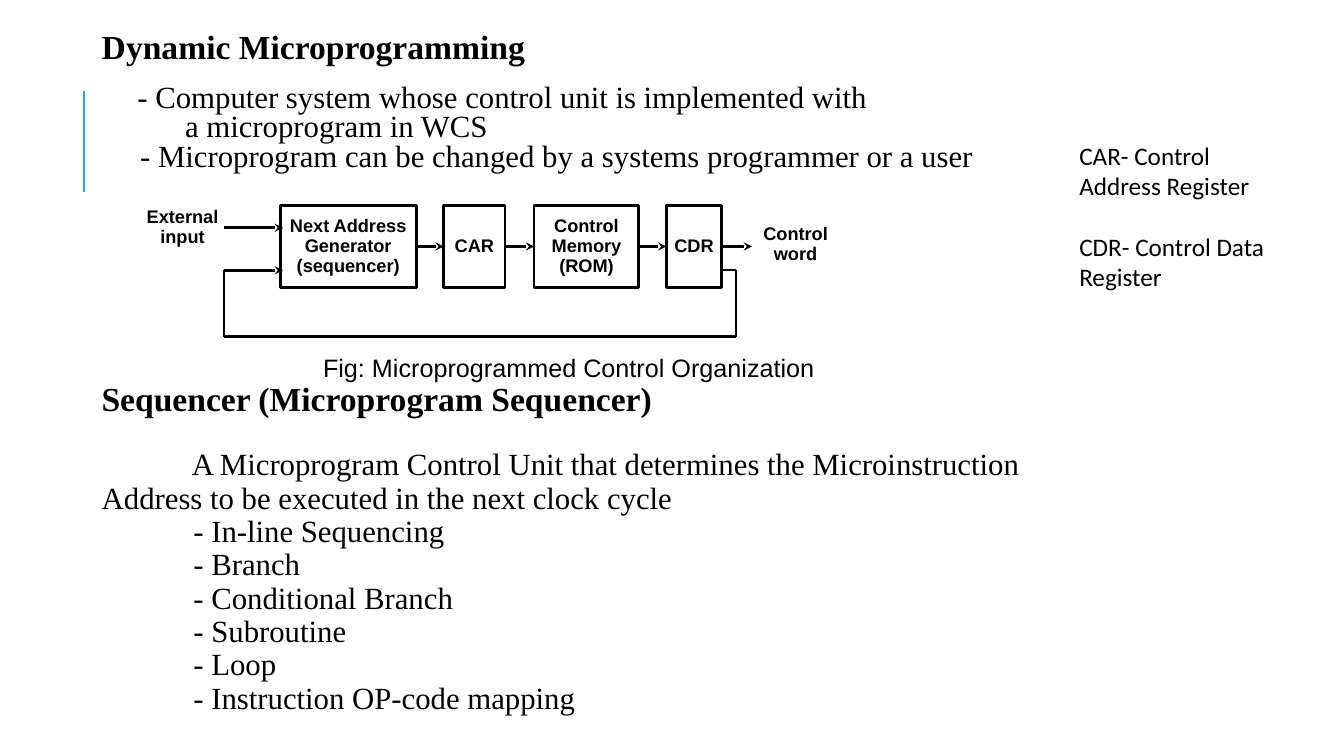
import itertools

import pptx
import pptx.dml.color
import pptx.enum.shapes
import pptx.enum.text
import pptx.oxml.ns
import pptx.util
from lxml import etree
from pptx.util import Cm, Pt

ALIGN = pptx.enum.text.PP_ALIGN
ANCHOR = pptx.enum.text.MSO_ANCHOR
BLACK, WHITE, ACCENT = "000000", "FFFFFF", "1CADE4"
SERIF, SANS = "Times New Roman", "Arial"
COLUMN_LEFT, COLUMN_WIDTH = 2.31, 24.05
BOX_TOP, BOX_HEIGHT = 5.18, 2.06


def color(hex_code):
    return pptx.dml.color.RGBColor.from_string(hex_code)


def add_element(parent, tag, **attributes):
    return etree.SubElement(parent, pptx.oxml.ns.qn(tag), attributes)


def place(shape, left, top, width, height):
    shape.left, shape.top = Cm(left), Cm(top)
    shape.width, shape.height = Cm(width), Cm(height)


def write(shape, text, font, size, bold=False, align=ALIGN.LEFT,
          anchor=ANCHOR.MIDDLE, wrap=True, spacing=1.0, gap=0):
    """Fill a shape with text, one paragraph a line, in one format."""
    frame = shape.text_frame
    frame.text = text
    frame.auto_size = pptx.enum.text.MSO_AUTO_SIZE.NONE
    frame.word_wrap = wrap
    frame.vertical_anchor = anchor
    for index, paragraph in enumerate(frame.paragraphs):
        paragraph.alignment = align
        paragraph.line_spacing = spacing
        paragraph.space_before = Pt(gap if index else 0)
        for run in paragraph.runs:
            run.font.name, run.font.size, run.font.bold = font, Pt(size), bold
            run.font.color.rgb = color(BLACK)


def add_text(slide, area, text, font, size, **options):
    shape = slide.shapes.add_textbox(0, 0, 0, 0)
    place(shape, *area)
    write(shape, text, font, size, **options)


def fill_list(shape, area, lines, pitch):
    """Fill a body placeholder; lines are (text, left margin, first-line indent)."""
    place(shape, *area)
    write(shape, "\n".join(text for text, _, _ in lines), SERIF, 22,
          anchor=ANCHOR.TOP, spacing=Pt(pitch))
    for paragraph, (_, margin, indent) in zip(shape.text_frame.paragraphs, lines):
        properties = paragraph._p.get_or_add_pPr()
        properties.set("marL", str(Cm(margin)))
        properties.set("indent", str(Cm(indent)))
        add_element(properties, "a:buNone")


def add_block(slide, left, width, label):
    block = slide.shapes.add_shape(pptx.enum.shapes.MSO_SHAPE.RECTANGLE, Cm(left),
                                   Cm(BOX_TOP), Cm(width), Cm(BOX_HEIGHT))
    block.shadow.inherit = False
    block.fill.solid()
    block.fill.fore_color.rgb = color(WHITE)
    block.line.color.rgb = color(BLACK)
    block.line.width = Pt(2)
    write(block, label, SANS, 13, bold=True, align=ALIGN.CENTER,
          wrap=False, spacing=0.9)
    return block


def add_line(slide, start, end, width=2, arrow=False, line_color=BLACK):
    line = slide.shapes.add_connector(
        pptx.enum.shapes.MSO_CONNECTOR.STRAIGHT,
        Cm(start[0]), Cm(start[1]), Cm(end[0]), Cm(end[1]))
    line.line.color.rgb = color(line_color)
    line.line.width = Pt(width)
    if arrow:
        add_element(line.line._get_or_add_ln(), "a:tailEnd", type="stealth")
    add_element(line._element.spPr, "a:effectLst")
    return line


def add_diagram(slide):
    # Blocks joined from left to right
    blocks = [add_block(slide, *block) for block in (
        (7.06, 3.43, "Next Address\nGenerator\n(sequencer)"),
        (11.18, 1.55, "CAR"),
        (13.46, 2.64, "Control\nMemory\n(ROM)"),
        (16.79, 1.4, "CDR"))]
    middle = BOX_TOP + BOX_HEIGHT / 2
    for source, target in itertools.pairwise(blocks):
        arrow = add_line(slide, (0, middle), (1, middle), arrow=True)
        arrow.begin_connect(source, 3)
        arrow.end_connect(target, 1)

    # Input and output
    add_line(slide, (5.64, 5.74), (7.13, 5.74), arrow=True)
    output = add_line(slide, (18.19, middle), (18.95, middle), arrow=True)
    output.begin_connect(blocks[-1], 3)
    for area, label in (((3.43, 5.11, 2.34, 1.24), "External\ninput"),
                        ((18.97, 5.54, 2.16, 1.24), "Control\nword")):
        add_text(slide, area, label, SANS, 13, bold=True, align=ALIGN.CENTER,
                 wrap=False, spacing=0.9)

    # Feedback from the data register to the sequencer
    corners = [(18.19, 6.81), (18.54, 6.81), (18.54, 8.48),
               (5.64, 8.48), (5.64, 6.81), (7.13, 6.81)]
    widths = (1.5, 1.5, 2, 1.5, 2)
    for (start, end), width in zip(itertools.pairwise(corners), widths):
        add_line(slide, start, end, width, arrow=end == corners[-1])


def main():
    presentation = pptx.Presentation()
    presentation.slide_width, presentation.slide_height = Cm(33.87), Cm(19.05)
    slide = presentation.slides.add_slide(presentation.slide_layouts[3])
    title, dynamic_list, sequencer_list = slide.placeholders

    # Dynamic microprogramming
    add_line(slide, (2.11, 4.83), (2.11, 2.29), 1.5, line_color=ACCENT)
    place(title, COLUMN_LEFT, 0.6, COLUMN_WIDTH, 1.1)
    write(title, "Dynamic Microprogramming", SERIF, 24, bold=True)
    fill_list(dynamic_list, (COLUMN_LEFT, 2.02, COLUMN_WIDTH, 2.6), [
        ("- Computer system whose control unit is implemented with"
         "\va microprogram in WCS", 2.1, -1.2),
        ("- Microprogram can be changed by a systems programmer or a user",
         2.1, -1.13)], 21)

    # Control organization
    add_diagram(slide)
    add_text(slide, (COLUMN_LEFT, 8.8, COLUMN_WIDTH, 0.9),
             "Fig: Microprogrammed Control Organization", SANS, 18,
             align=ALIGN.CENTER)
    add_text(slide, (26.95, 3.4, 5.28, 4.11),
             "CAR- Control Address Register\nCDR- Control Data Register",
             "Calibri", 18, anchor=ANCHOR.TOP, gap=22)

    # Sequencer
    add_text(slide, (COLUMN_LEFT, 9.53, COLUMN_WIDTH, 1),
             "Sequencer (Microprogram Sequencer)", SERIF, 24, bold=True)
    techniques = ("In-line Sequencing", "Branch", "Conditional Branch",
                  "Subroutine", "Loop", "Instruction OP-code mapping")
    fill_list(sequencer_list, (COLUMN_LEFT, 11.18, COLUMN_WIDTH, 7), [
        ("A Microprogram Control Unit that determines the Microinstruction "
         "Address to be executed in the next clock cycle", 0, 2.27),
        *((f"- {technique}", 2.31, 0) for technique in techniques)], 23.8)

    presentation.save("out.pptx")


if __name__ == "__main__":
    main()
